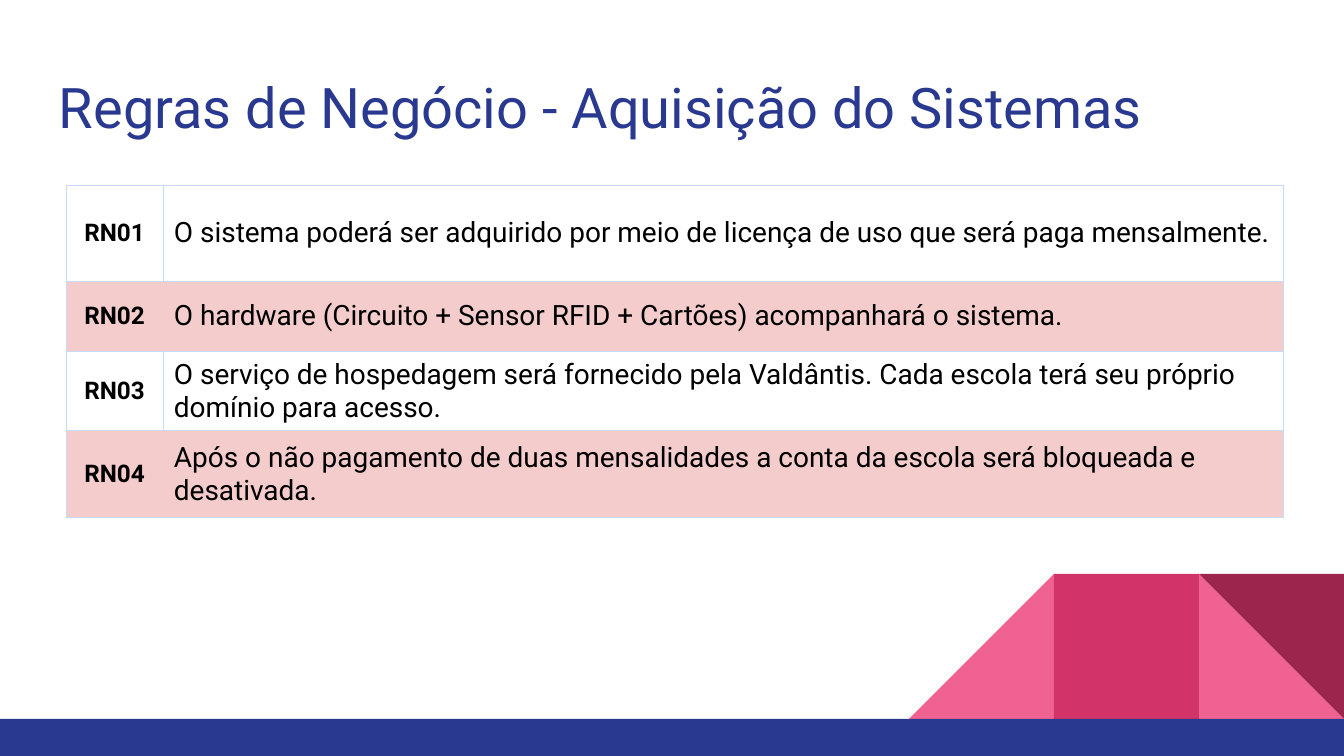
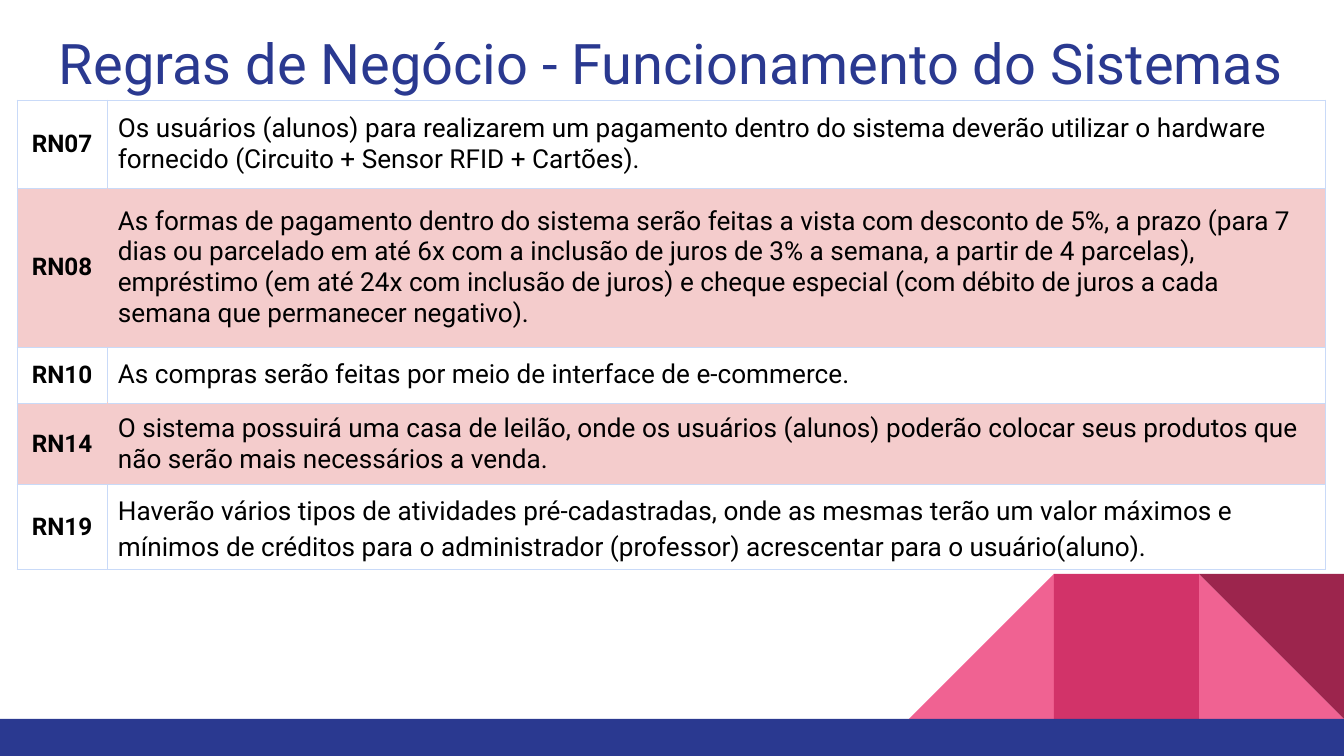
from lxml import etree
from pptx import Presentation
from pptx import util as u
from pptx.dml.color import RGBColor
from pptx.enum import shapes, text
from pptx.oxml.ns import qn

PX = 914400 / 134.4
NAVY, PINK, ROSE, WINE = "2A3990", "F06292", "D23369", "9C254D"
BLUSH, EDGE, BLACK = "F4CCCC", "C9DAF8", "000000"
FONT = "Roboto"
TILE, TILE_TOP = 145, 574
CELL_INSET = 11
TITLE_INSET = 13


def px(count):
    return u.Emu(round(count * PX))


def write(frame, words, size, color=BLACK, bold=False, align=text.PP_ALIGN.LEFT, spacing=1.0):
    para = frame.paragraphs[0]
    para.alignment = align
    para.line_spacing = spacing
    span = para.add_run()
    span.text = words
    span.font.name = FONT
    span.font.size = u.Pt(size)
    span.font.bold = bold
    span.font.color.rgb = RGBColor.from_string(color)


TRIANGLE = shapes.MSO_SHAPE.RIGHT_TRIANGLE
RECTANGLE = shapes.MSO_SHAPE.RECTANGLE
decorations = [
    (TRIANGLE, 1199, TILE_TOP, TILE, TILE, 0, PINK),
    (TRIANGLE, 909, TILE_TOP, TILE, TILE, 270, PINK),
    (RECTANGLE, 1054, TILE_TOP, TILE, TILE, 0, ROSE),
    (TRIANGLE, 1199, TILE_TOP, TILE, TILE, 180, WINE),
    (RECTANGLE, 0, 719, 1344, 37, 0, NAVY),
]

slides = [
    {
        "title": "Regras de Negócio - Aquisição do Sistemas",
        "title_top": 60,
        "table_at": (66, 185),
        "columns": (97, 1120),
        "size": 15,
        "rules": [
            ("RN01", 96, 1.0, "O sistema poderá ser adquirido por meio de licença de uso que será paga mensalmente."),
            ("RN02", 71, 1.0, "O hardware (Circuito + Sensor RFID + Cartões) acompanhará o sistema."),
            ("RN03", 79, 1.0, "O serviço de hospedagem será fornecido pela Valdântis. Cada escola terá seu próprio "
             "domínio para acesso."),
            ("RN04", 87, 1.0, "Após o não pagamento de duas mensalidades a conta da escola será bloqueada e "
             "desativada."),
        ],
    },
    {
        "title": "Regras de Negócio - Funcionamento do Sistemas",
        "title_top": 16,
        "table_at": (17, 100),
        "columns": (90, 1219),
        "size": 14,
        "rules": [
            ("RN07", 88, 1.0, "Os usuários (alunos) para realizarem um pagamento dentro do sistema deverão utilizar "
             "o hardware fornecido (Circuito + Sensor RFID + Cartões)."),
            ("RN08", 159, 1.0, "As formas de pagamento dentro do sistema serão feitas a vista com desconto de 5%, "
             "a prazo (para 7 dias ou parcelado em até 6x com a inclusão de juros de 3% a semana, a partir de "
             "4 parcelas), empréstimo (em até 24x com inclusão de juros) e cheque especial (com débito de juros "
             "a cada semana que permanecer negativo)."),
            ("RN10", 56, 1.0, "As compras serão feitas por meio de interface de e-commerce."),
            ("RN14", 82, 1.0, "O sistema possuirá uma casa de leilão, onde os usuários (alunos) poderão colocar "
             "seus produtos que não serão mais necessários a venda."),
            ("RN19", 85, 1.15, "Haverão vários tipos de atividades pré-cadastradas, onde as mesmas terão um valor "
             "máximos e mínimos de créditos para o administrador (professor) acrescentar para o usuário(aluno)."),
        ],
    },
]

deck = Presentation()
deck.slide_width = px(1344)
deck.slide_height = px(756)

for slide in slides:
    page = deck.slides.add_slide(deck.slide_layouts[6])

    for kind, left, top, width, height, turn, color in decorations:
        shape = page.shapes.add_shape(kind, px(left), px(top), px(width), px(height))
        shape.rotation = turn
        shape.shadow.inherit = False
        shape.fill.solid()
        shape.fill.fore_color.rgb = RGBColor.from_string(color)
        shape.line.fill.background()

    box = page.shapes.add_textbox(px(46), px(slide["title_top"]), px(1253), px(89))
    frame = box.text_frame
    frame.word_wrap = True
    frame.margin_left = frame.margin_right = px(TITLE_INSET)
    frame.margin_top = frame.margin_bottom = px(TITLE_INSET)
    write(frame, slide["title"], 30, color=NAVY)

    rules, columns = slide["rules"], slide["columns"]
    left, top = slide["table_at"]
    height = sum(rule[1] for rule in rules)
    table = page.shapes.add_table(
        len(rules), 2, px(left), px(top), px(sum(columns)), px(height)
    ).table
    table.first_row = False
    table.horz_banding = False
    for column, width in zip(table.columns, columns):
        column.width = px(width)

    for index, (code, row_height, spacing, words) in enumerate(rules):
        table.rows[index].height = px(row_height)
        shaded = index % 2 == 1
        code_cell, rule_cell = table.cell(index, 0), table.cell(index, 1)
        write(code_cell.text_frame, code, 13, bold=True, align=text.PP_ALIGN.CENTER)
        write(rule_cell.text_frame, words, slide["size"], spacing=spacing)

        for cell, inner_side in ((code_cell, "lnR"), (rule_cell, "lnL")):
            cell.vertical_anchor = text.MSO_ANCHOR.MIDDLE
            cell.margin_left = cell.margin_right = px(CELL_INSET)
            cell.margin_top = cell.margin_bottom = 0
            properties = cell._tc.get_or_add_tcPr()
            for side in ("lnL", "lnR", "lnT", "lnB"):
                line = etree.SubElement(properties, qn("a:" + side), w=str(u.Pt(0.5)))
                fill = etree.SubElement(line, qn("a:solidFill"))
                color = BLUSH if shaded and side == inner_side else EDGE
                etree.SubElement(fill, qn("a:srgbClr"), val=color)
            if shaded:
                cell.fill.solid()
                cell.fill.fore_color.rgb = RGBColor.from_string(BLUSH)
            else:
                cell.fill.background()

deck.save("out.pptx")
